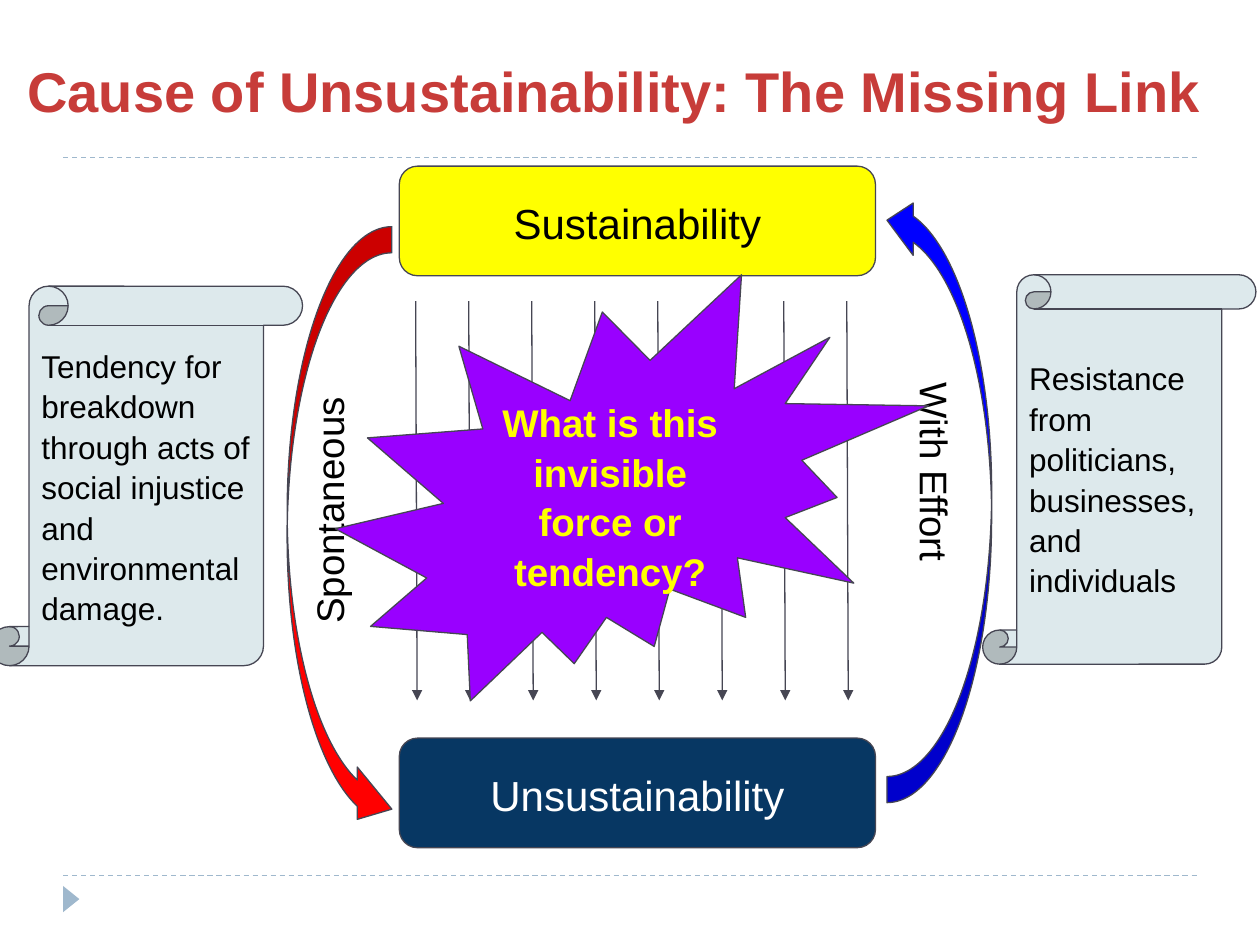
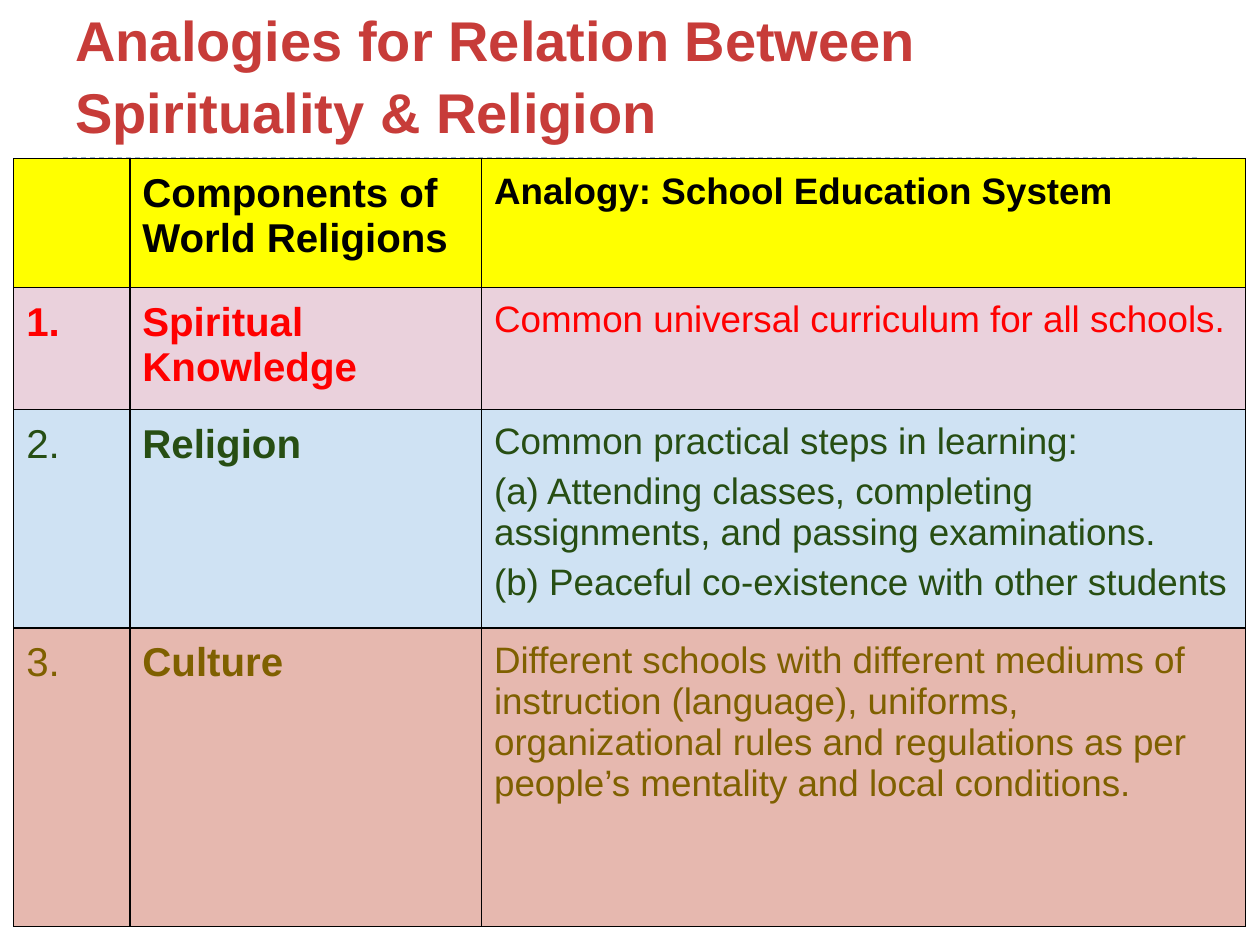
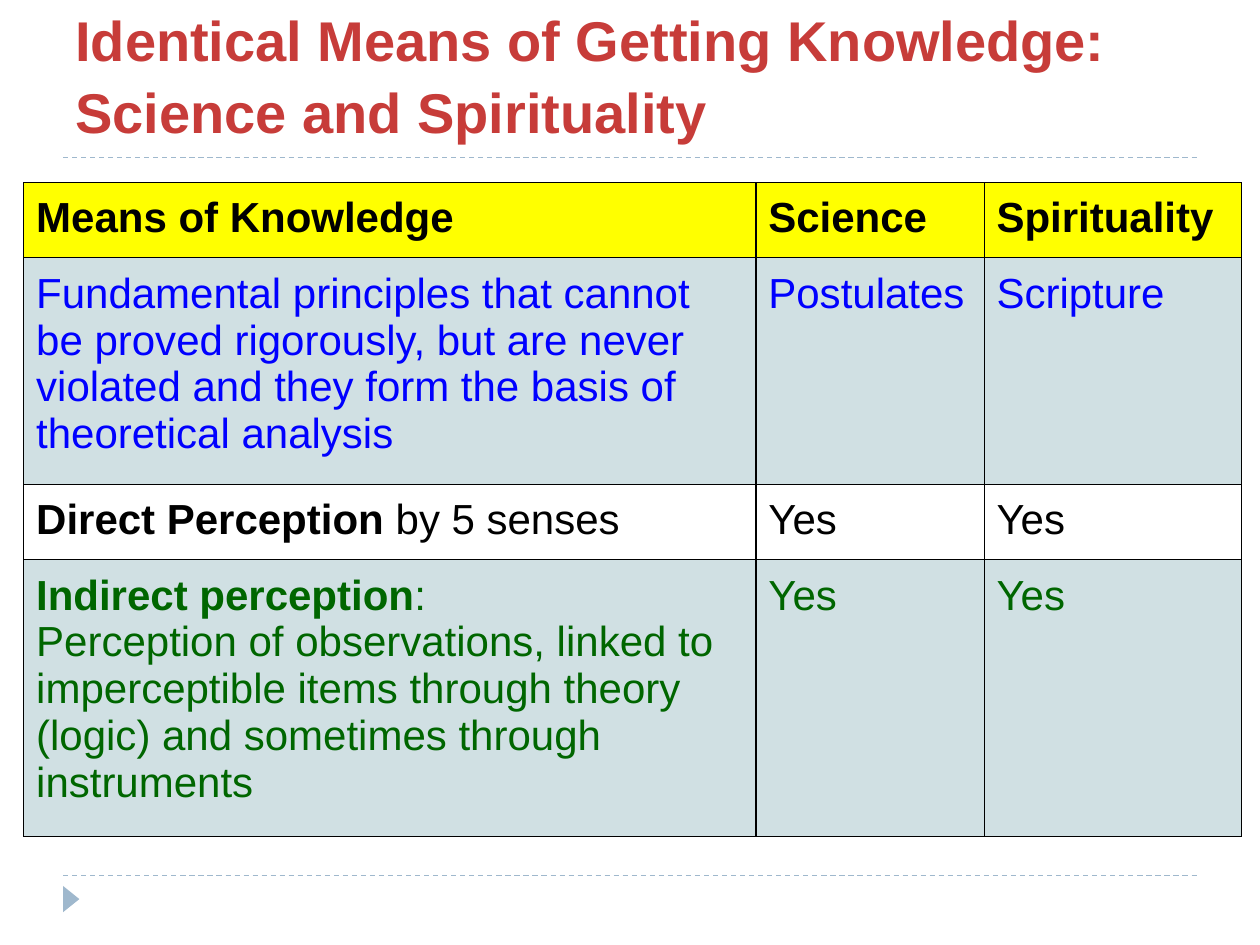
from lxml import etree
from pptx import Presentation
from pptx.dml.color import RGBColor
from pptx.enum.dml import MSO_LINE
from pptx.enum.shapes import MSO_CONNECTOR, MSO_SHAPE
from pptx.enum.text import MSO_ANCHOR, PP_ALIGN
from pptx.oxml.ns import qn
from pptx.util import Cm, Pt

STRAIGHT = MSO_CONNECTOR.STRAIGHT
ROUNDED = MSO_SHAPE.ROUNDED_RECTANGLE
CURVED_ARROW = MSO_SHAPE.CURVED_RIGHT_ARROW
SCROLL = MSO_SHAPE.VERTICAL_SCROLL
BURST = MSO_SHAPE.EXPLOSION2
TRIANGLE = MSO_SHAPE.ISOSCELES_TRIANGLE
DASH = MSO_LINE.DASH
TOP, MIDDLE, BOTTOM = MSO_ANCHOR.TOP, MSO_ANCHOR.MIDDLE, MSO_ANCHOR.BOTTOM
LEFT, CENTER = PP_ALIGN.LEFT, PP_ALIGN.CENTER

FONT = "Arial"
TITLE_RED = "C73C39"
PALE_BLUE = "9FB8CD"
OUTLINE = "464653"
SCROLL_FILL = "DDE9EC"
YELLOW = "FFFF00"
BLACK = "000000"
INSET = Cm(0.25)
BOX_SPACING = 1.07


def rgb(value):
    return RGBColor.from_string(value)


def style_font(font, size, color, bold=False):
    font.name = FONT
    font.size = Pt(size)
    font.bold = bold
    font.color.rgb = rgb(color)


def write(shape, text, size, color, bold=False, align=LEFT, anchor=MIDDLE):
    frame = shape.text_frame
    frame.word_wrap = True
    frame.vertical_anchor = anchor
    frame.margin_left = frame.margin_right = INSET
    frame.margin_top = frame.margin_bottom = INSET
    frame.text = text
    paragraph = frame.paragraphs[0]
    paragraph.alignment = align
    paragraph.line_spacing = BOX_SPACING
    style_font(paragraph.runs[0].font, size, color, bold)


def add_label(slide, box, text, size, color, rotation=0, **options):
    label = slide.shapes.add_textbox(*map(Cm, box))
    label.rotation = rotation
    write(label, text, size, color, **options)


def add_figure(slide, kind, box, fill, line=OUTLINE, rotation=0, adjustments=()):
    figure = slide.shapes.add_shape(kind, *map(Cm, box))
    figure.shadow.inherit = False
    figure.rotation = rotation
    for index, value in enumerate(adjustments):
        figure.adjustments[index] = value
    figure.fill.solid()
    figure.fill.fore_color.rgb = rgb(fill)
    if line:
        figure.line.color.rgb = rgb(line)
        figure.line.width = Pt(0.75)
    else:
        figure.line.fill.background()
    return figure


def add_line(slide, start, end, color):
    line = slide.shapes.add_connector(STRAIGHT, *map(Cm, start + end))
    line.line.color.rgb = rgb(color)
    line.line.width = Pt(0.75)
    etree.SubElement(line._element.spPr, qn("a:effectLst"))
    return line


def add_arrow(slide, start, end, color):
    arrow = add_line(slide, start, end, color)
    etree.SubElement(arrow.line._get_or_add_ln(), qn("a:tailEnd"), type="triangle")


def add_framed_slide(deck, title, title_box=(1.27, 0.43, 22.86, 2.74)):
    slide = deck.slides.add_slide(deck.slide_layouts[6])
    for y in (17.65, 3.18):
        add_line(slide, (1.27, y), (24.13, y), PALE_BLUE).line.dash_style = DASH
    add_figure(slide, TRIANGLE, (1.17, 17.96, 0.53, 0.33), PALE_BLUE, None, 90)
    add_label(slide, title_box, title, 32, TITLE_RED, bold=True, anchor=BOTTOM)
    return slide


def draw_cycle(slide, left, top):
    def place(x, y, width, height):
        return left + x, top + y, width, height

    for state, y, fill, ink in (
        ("Unsustainability", 11.53, "073763", "FFFFFF"),
        ("Sustainability", 0, YELLOW, BLACK),
    ):
        panel = add_figure(slide, ROUNDED, place(2.26, y, 9.6, 2.21), fill)
        write(panel, state, 24, ink, align=CENTER)

    for x, y, fill, rotation, head in (
        (0, 1.22, "FF0000", 0, 0.33),
        (12.09, 0.56, "0000FF", 180, 0.25),
    ):
        add_figure(slide, CURVED_ARROW, place(x, y, 2.11, 12.27), fill,
                   rotation=rotation, adjustments=(0.25, 0.5, head))

    for x in [2.59] + [3.66 + 1.27 * step for step in range(7)]:
        add_arrow(slide, (left + x, top + 2.72), (left + x + 0.03, top + 10.77), OUTLINE)

    for direction, x, y, rotation in (
        ("Spontaneous", -2.18, 5.92, 270),
        ("With Effort", 10.29, 6.35, 90),
    ):
        add_label(slide, place(x, y, 5.79, 1.32), direction, 22, BLACK, rotation, anchor=TOP)

    question = add_figure(slide, BURST, place(0.97, 2.19, 11.96, 8.59), "9900FF")
    write(question, "What is this invisible force or tendency?", 22, YELLOW,
          bold=True, align=CENTER)


def draw_scroll(slide, box, text):
    write(add_figure(slide, SCROLL, box, SCROLL_FILL), text, 18, BLACK)


def border_cell(cell):
    properties = cell._tc.get_or_add_tcPr()
    for side in ("lnL", "lnR", "lnT", "lnB"):
        edge = etree.SubElement(properties, qn("a:" + side), w=str(Pt(0.75)))
        fill = etree.SubElement(edge, qn("a:solidFill"))
        etree.SubElement(fill, qn("a:srgbClr"), val=BLACK)


def fill_cell(cell, paragraphs, fill, ink, size):
    border_cell(cell)
    if fill:
        cell.fill.solid()
        cell.fill.fore_color.rgb = rgb(fill)
    else:
        cell.fill.background()
    cell.margin_left = cell.margin_right = INSET
    cell.margin_top = cell.margin_bottom = INSET
    frame = cell.text_frame
    for index, pieces in enumerate(paragraphs):
        paragraph = frame.add_paragraph() if index else frame.paragraphs[0]
        for text, bold in pieces:
            run = paragraph.add_run()
            run.text = text
            style_font(run.font, size, ink, bold)


def draw_table(slide, left, top, widths, heights, sizes, rows):
    box = (left, top, sum(widths), sum(heights))
    table = slide.shapes.add_table(len(rows), len(widths), *map(Cm, box)).table
    table.first_row = table.horz_banding = False
    for column, width in zip(table.columns, widths):
        column.width = Cm(width)
    for row, height, (fill, ink, contents) in zip(table.rows, heights, rows):
        row.height = Cm(height)
        for cell, paragraphs, size in zip(row.cells, contents, sizes):
            fill_cell(cell, paragraphs, fill, ink, size)
    return table


def plain(*texts):
    return [[(text, False)] for text in texts]


def strong(text):
    return [[(text, True)]]


def build_cause(deck):
    slide = add_framed_slide(deck, "Cause of Unsustainability: The Missing Link",
                             (0.3, 0, 25.02, 2.74))
    draw_scroll(slide, (19.81, 5.54, 5.51, 7.85),
                "Resistance from politicians, businesses, and individuals")
    draw_scroll(slide, (-0.2, 5.77, 6.3, 7.65),
                "Tendency for breakdown through acts of social injustice and "
                "environmental damage.")
    draw_cycle(slide, 5.79, 3.35)


def build_analogies(deck):
    slide = add_framed_slide(deck, "Analogies for Relation Between Spirituality & Religion")
    rows = [
        (YELLOW, BLACK, [[], strong("Components of World Religions"),
                         strong("Analogy: School Education System")]),
        ("EAD1DC", "FF0000", [strong("1."), strong("Spiritual Knowledge"),
                              plain("Common universal curriculum for all schools.")]),
        ("CFE2F3", "274E13", [plain("2."), strong("Religion"), plain(
            "Common practical steps in learning:",
            "(a) Attending classes, completing assignments, and passing examinations.",
            "(b) Peaceful co-existence with other students")]),
        ("E6B8AF", "7F6000", [plain("3."), strong("Culture"), plain(
            "Different schools with different mediums of instruction (language), "
            "uniforms, organizational rules and regulations as per people’s "
            "mentality and local conditions.")]),
    ]
    table = draw_table(slide, 0.28, 3.2, (2.34, 7.09, 15.39),
                       (2.59, 2.46, 4.17, 6.02), (23, 23, 21), rows)
    for step in table.cell(2, 2).text_frame.paragraphs[1:]:
        step.space_before = Pt(5)


def build_means(deck):
    slide = add_framed_slide(
        deck, "Identical Means of Getting Knowledge: Science and Spirituality")
    shade = "D0E0E3"
    rows = [
        (YELLOW, BLACK, [strong("Means of Knowledge"), strong("Science"),
                         strong("Spirituality")]),
        (shade, "0000FF", [plain(
            "Fundamental principles that cannot be proved rigorously, but are never "
            "violated and they form the basis of theoretical analysis"),
            plain("Postulates"), plain("Scripture")]),
        (None, BLACK, [[[("Direct Perception", True), (" by 5 senses", False)]],
                       plain("Yes"), plain("Yes")]),
        (shade, "006600", [[[("Indirect perception", True), (":", False)]] + plain(
            "Perception of observations, linked to imperceptible items through "
            "theory (logic) and sometimes through instruments"),
            plain("Yes"), plain("Yes")]),
    ]
    draw_table(slide, 0.48, 3.68, (14.76, 4.6, 5.18),
               (1.45, 4.29, 1.52, 5.22), (24, 24, 24), rows)


def main():
    deck = Presentation()
    deck.slide_width, deck.slide_height = Cm(25.4), Cm(19.05)
    build_cause(deck)
    build_analogies(deck)
    build_means(deck)
    deck.save("out.pptx")


if __name__ == "__main__":
    main()
